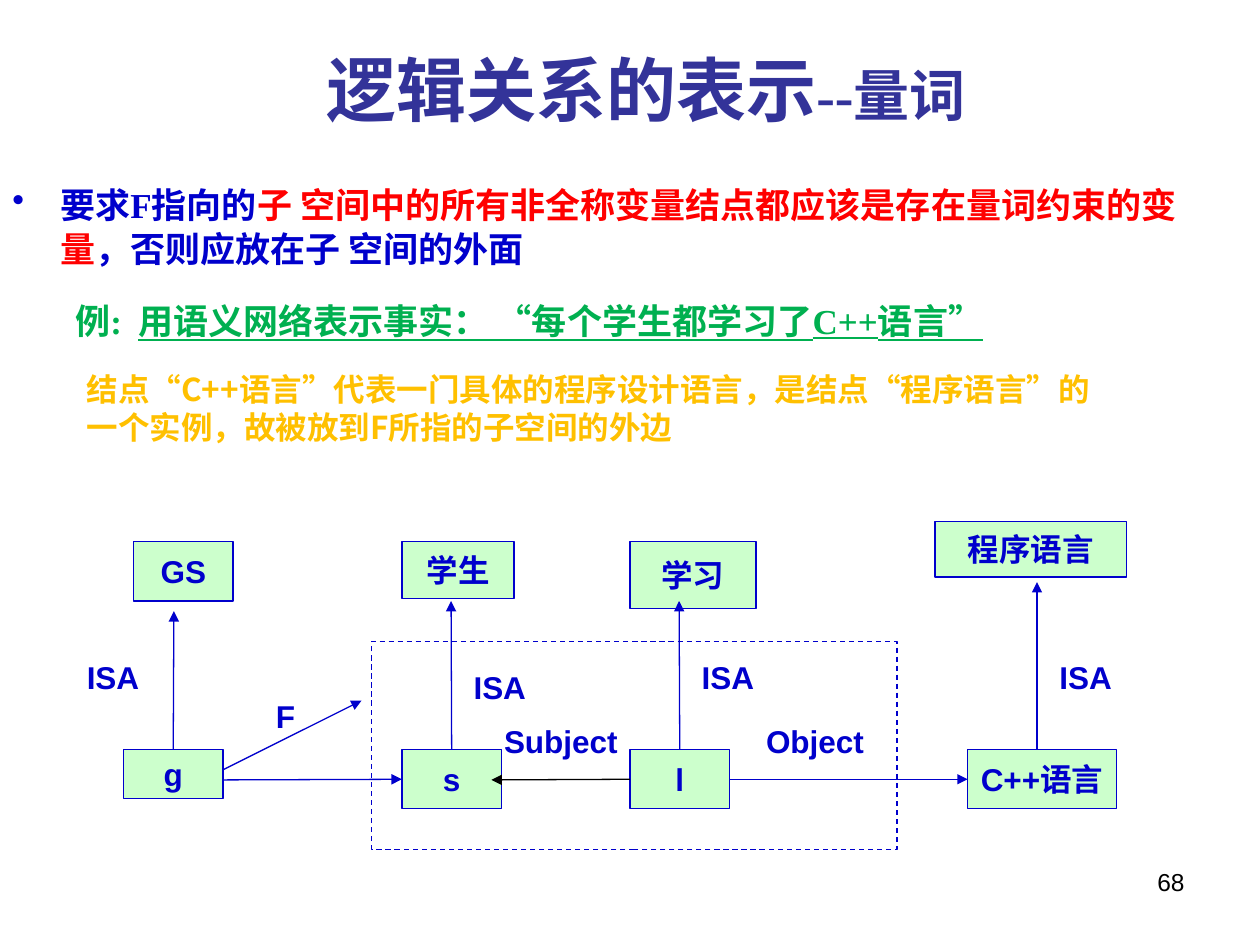
from lxml import etree
from pptx import Presentation
from pptx import util as u
from pptx.dml.color import RGBColor
from pptx.enum import dml, shapes, text
from pptx.oxml.ns import qn

BLUE = RGBColor(0x00, 0x00, 0xCC)
NAVY = RGBColor(0x33, 0x33, 0x99)
RED = RGBColor(0xFF, 0x00, 0x00)
GREEN = RGBColor(0x00, 0xB0, 0x50)
GOLD = RGBColor(0xFF, 0xC0, 0x00)
MINT = RGBColor(0xCC, 0xFF, 0xCC)
WHITE = RGBColor(0xFF, 0xFF, 0xFF)
BLACK = RGBColor(0x00, 0x00, 0x00)
SANS, SERIF, HAN = "Arial", "Times New Roman", "Noto Sans CJK SC"
LEFT, MID, RIGHT = text.PP_ALIGN.LEFT, text.PP_ALIGN.CENTER, text.PP_ALIGN.RIGHT


class Board:
    def __init__(self, slide):
        self.slide = slide
        self.line = u.Pt(0.75)

    def run(self, para, words, size=18, face=SANS, color=BLUE, bold=True):
        run = para.add_run()
        run.text = words
        font = run.font
        font.size, font.name, font.bold = u.Pt(size), face, bold
        font.color.rgb = color
        latin = run._r.rPr.find(qn("a:latin"))
        east = etree.Element(qn("a:ea"), typeface=HAN)
        latin.addnext(east)
        return run

    def frame(self, x, y, w, h, pad=(0.1, 0.05)):
        """Add a wrapping text box and return its text frame."""
        area = [u.Inches(v) for v in (x, y, w, h)]
        frame = self.slide.shapes.add_textbox(*area).text_frame
        frame.word_wrap = True
        frame.margin_left = frame.margin_right = u.Inches(pad[0])
        frame.margin_top = frame.margin_bottom = u.Inches(pad[1])
        return frame

    def label(self, words, x, y, w, h=0.4, pad=(0.1, 0.05), align=LEFT, **style):
        para = self.frame(x, y, w, h, pad).paragraphs[0]
        para.alignment = align
        self.run(para, words, **style)

    def rect(self, x, y, w, h, fill):
        area = [u.Inches(v) for v in (x, y, w, h)]
        rect = self.slide.shapes.add_shape(shapes.MSO_SHAPE.RECTANGLE, *area)
        rect.shadow.inherit = False
        rect.fill.solid()
        rect.fill.fore_color.rgb = fill
        rect.line.color.rgb = BLUE
        rect.line.width = self.line
        return rect

    def node(self, words, x, y, w, h):
        rect = self.rect(x, y, w, h, MINT)
        frame = rect.text_frame
        frame.word_wrap = False
        frame.vertical_anchor = text.MSO_ANCHOR.MIDDLE
        frame.paragraphs[0].alignment = MID
        self.run(frame.paragraphs[0], words)
        return rect

    def arrow(self, start, end, color=BLUE, tie=None, goal=None):
        """Draw an arrow; tie and goal are (node, side) pairs to join."""
        ends = [u.Inches(v) for v in start + end]
        link = self.slide.shapes.add_connector(shapes.MSO_CONNECTOR.STRAIGHT, *ends)
        if tie:
            link.begin_connect(*tie)
        if goal:
            link.end_connect(*goal)
        link.line.color.rgb = color
        link.line.width = self.line
        tip = etree.SubElement(link.line._get_or_add_ln(), qn("a:tailEnd"))
        tip.set("type", "triangle")
        etree.SubElement(link._element.spPr, qn("a:effectLst"))

    def title(self, main, side):
        frame = self.frame(0.63, 0.21, 9, 0.99)
        frame.vertical_anchor = text.MSO_ANCHOR.MIDDLE
        para = frame.paragraphs[0]
        para.alignment = MID
        self.run(para, main, 40, SERIF, NAVY)
        self.run(para, side, 32, SERIF, NAVY)

    def body(self):
        frame = self.frame(0, 1.39, 9.65, 1.5)
        rule, case = frame.paragraphs[0], frame.add_paragraph()
        for para, gap, left, first in ((rule, 4, 0.38, -0.38), (case, 16, 0.5, 0)):
            para.line_spacing = 1.05
            para.space_before = u.Pt(gap)
            props = para._p.get_or_add_pPr()
            props.set("marL", str(u.Inches(left)))
            props.set("indent", str(u.Inches(first)))
        etree.SubElement(rule._p.pPr, qn("a:buChar"), char="•")
        tabs = etree.SubElement(case._p.pPr, qn("a:tabLst"))
        etree.SubElement(tabs, qn("a:tab"), pos=str(u.Inches(1.15)), algn="l")

        for words, color in (
            ("要求F指向的", BLUE),
            ("子 空间中的所有非全称变量结点都应该是存在量词约束的变量", RED),
            ("，否则应放在子 空间的外面", BLUE),
        ):
            self.run(rule, words, 20, SERIF, color)
        self.run(case, "例:\t", 20, SERIF, GREEN)
        fact = self.run(case, "用语义网络表示事实： “每个学生都学习了C++语言”", 20, SERIF, GREEN)
        fact.font.underline = True


def main():
    deck = Presentation()
    deck.slide_width, deck.slide_height = u.Inches(10), u.Inches(7.5)
    board = Board(deck.slides.add_slide(deck.slide_layouts[6]))

    board.title("逻辑关系的表示", "--量词")
    board.body()
    board.label("68", 7.17, 6.83, 2.33, 0.52, align=RIGHT, size=14, color=BLACK, bold=False)

    top, low = 4.3, 5.95
    board.node("GS", 1.06, top, 0.79, 0.47)
    g = board.node("g", 0.98, low, 0.79, 0.39)
    space = board.rect(2.95, 5.09, 4.17, 1.65, WHITE)
    space.line.dash_style = dml.MSO_LINE.DASH
    s = board.node("s", 3.19, low, 0.79, 0.47)
    l = board.node("l", 5, low, 0.79, 0.47)
    board.node("学生", 3.19, top, 0.89, 0.45)
    board.node("学习", 5, top, 1, 0.53)
    cpp = board.node("C++语言", 7.68, low, 1.18, 0.47)
    board.node("程序语言", 7.42, 4.14, 1.52, 0.44)

    for x, tip, tie in (
        (1.38, 4.85, (g, 0)),
        (3.58, 4.77, (s, 0)),
        (5.39, 4.77, (l, 0)),
        (8.23, 4.62, None),
    ):
        board.arrow((x, low), (x, tip), tie=tie)
    row = 6.19
    board.arrow((1.77, 6.11), (2.87, 5.56))
    board.arrow((1.77, row), (3.19, row), goal=(s, 1))
    board.arrow((5, row), (3.9, row), BLACK, tie=(l, 1))
    board.arrow((5.79, row), (7.68, row), tie=(l, 3), goal=(cpp, 1))

    for x, y in ((0.59, 5.17), (3.66, 5.25), (5.47, 5.17), (8.31, 5.17)):
        board.label("ISA", x, y, 0.71)
    board.label("F", 2.09, 5.48, 0.32)
    board.label("Subject", 3.98, 5.72, 0.95, 0.32, (0.02, 0.01))
    board.label("Object", 6.02, 5.72, 1.1, 0.32, (0.06, 0.01))
    board.label(
        "结点“C++语言”代表一门具体的程序设计语言，是结点“程序语言”的一个实例，故被放到F所指的子空间的外边",
        0.59, 2.89, 8.27, 0.71, face=HAN, color=GOLD,
    )
    deck.save("out.pptx")


if __name__ == "__main__":
    main()
